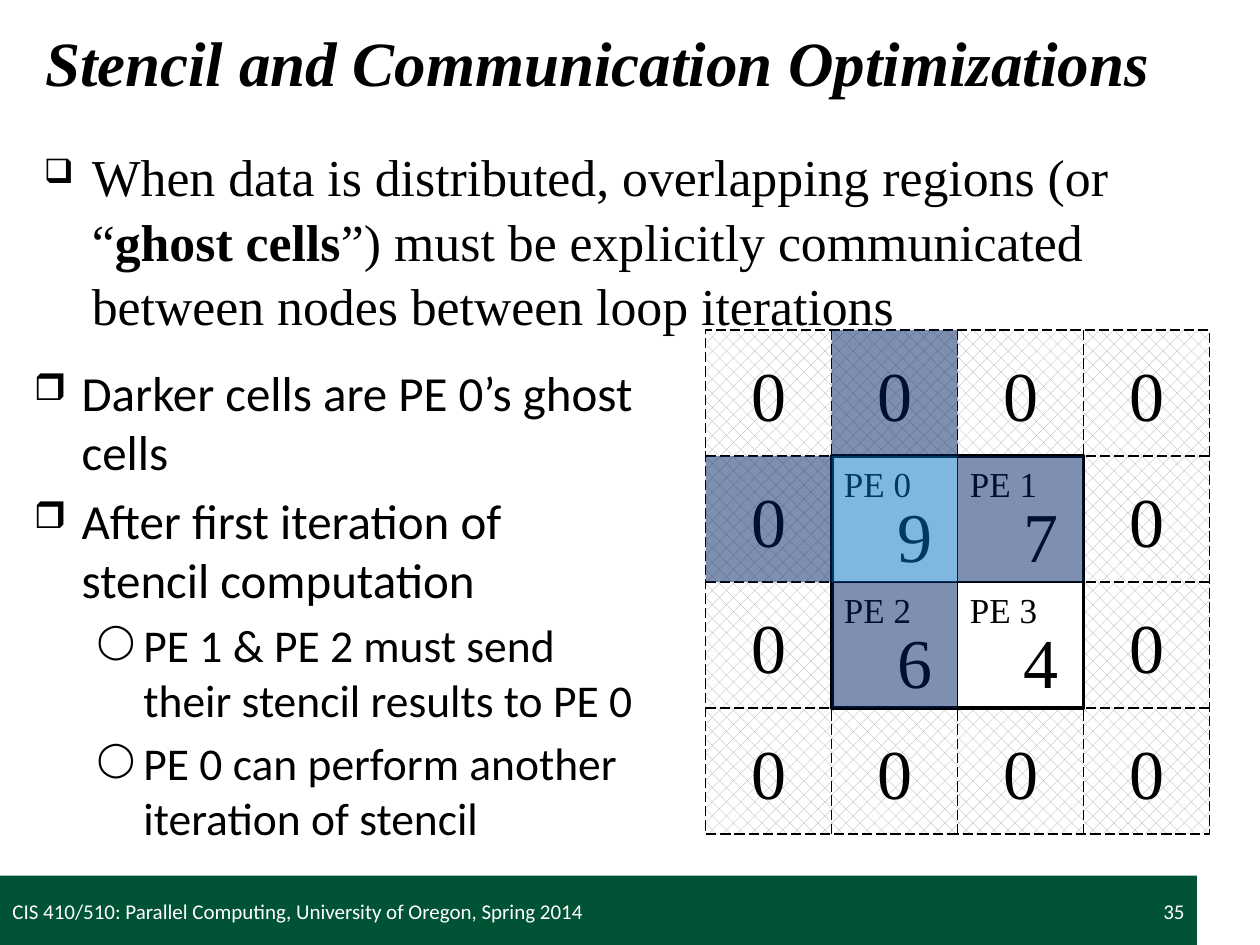
from lxml.etree import SubElement
from pptx import Presentation
from pptx.dml.color import RGBColor
from pptx.enum.dml import MSO_LINE, MSO_PATTERN
from pptx.enum.shapes import MSO_CONNECTOR, MSO_SHAPE
from pptx.enum.text import MSO_ANCHOR, PP_ALIGN
from pptx.oxml.ns import qn
from pptx.util import Inches, Pt

BLACK = RGBColor(0x00, 0x00, 0x00)
WHITE = RGBColor(0xFF, 0xFF, 0xFF)
GREEN = RGBColor(0x00, 0x53, 0x34)
GRAY = RGBColor(0xA6, 0xA6, 0xA6)
BLUE = RGBColor(0x00, 0x70, 0xC0)
NAVY = RGBColor(0x00, 0x20, 0x60)
SERIF, SANS = "Times New Roman", "Calibri"

TITLE = "Stencil and Communication Optimizations"
INTRO = ["When data is distributed, overlapping regions (or “", "ghost cells",
         "”) must be explicitly communicated between nodes between loop iterations"]
POINTS = [  # level, text
    (0, "Darker cells are PE 0’s ghost cells"),
    (0, "After first iteration of stencil computation"),
    (1, "PE 1 & PE 2 must send their stencil results to PE 0"),
    (1, "PE 0 can perform another iteration of stencil"),
]
LEVELS = [  # bullet, size, left margin, hanging indent
    ("❒", 28, 0.38, 0.38),
    ("◯", 26, 0.87, 0.37),
]
FOOTER = "CIS 410/510: Parallel Computing, University of Oregon, Spring 2014"
PAGE_NUMBER = "35"

GRID_LEFT, GRID_TOP, CELL, SIZE = 5.6, 2.62, 1, 4
ELEMENTS = {(1, 1): ("PE 0", "9"), (2, 1): ("PE 1", "7"),
            (1, 2): ("PE 2", "6"), (2, 2): ("PE 3", "4")}  # (column, row)
SHADED = [((1, 1), BLUE), ((1, 2), NAVY), ((0, 1), NAVY), ((2, 1), NAVY), ((1, 0), NAVY)]

deck = Presentation()
deck.slide_width, deck.slide_height = Inches(10), Inches(7.5)
page = deck.slides.add_slide(deck.slide_layouts[6])


def grid_point(column, row):
    return GRID_LEFT + column * CELL, GRID_TOP + row * CELL


def add_box(left, top, width, height, fill=None, line_width=None):
    box = page.shapes.add_shape(MSO_SHAPE.RECTANGLE, *map(Inches, (left, top, width, height)))
    box.shadow.inherit = False
    if fill is not None:
        box.fill.solid()
        box.fill.fore_color.rgb = fill
    if line_width:
        box.line.color.rgb = BLACK
        box.line.width = Pt(line_width)
    else:
        box.line.fill.background()
    return box


def style(para, size, font, color=BLACK):
    for span in para.runs:
        span.font.size, span.font.name = Pt(size), font
        span.font.color.rgb = color


def add_text(left, top, width, height, text, size, font, color=BLACK,
             align=PP_ALIGN.LEFT, anchor=MSO_ANCHOR.TOP):
    box = page.shapes.add_textbox(*map(Inches, (left, top, width, height)))
    frame = box.text_frame
    frame.word_wrap = True
    frame.vertical_anchor = anchor
    frame.text = text
    frame.paragraphs[0].alignment = align
    style(frame.paragraphs[0], size, font, color)
    return frame


def add_bullet(para, char, size, percent, margin, hanging):
    para.space_before = Pt(0.2 * size)
    props = para._p.get_or_add_pPr()
    props.set("marL", str(Inches(margin)))
    props.set("indent", str(-Inches(hanging)))
    SubElement(props, qn("a:buSzPct")).set("val", str(percent * 1000))
    SubElement(props, qn("a:buChar")).set("char", char)


def add_line(start, end, dashed=False):
    line = page.shapes.add_connector(MSO_CONNECTOR.STRAIGHT,
                                     *map(Inches, grid_point(*start) + grid_point(*end)))
    line.line.color.rgb = BLACK
    line.line.width = Pt(0.75)
    if dashed:
        line.line.dash_style = MSO_LINE.LONG_DASH
    SubElement(line._element.spPr, qn("a:effectLst"))
    return line


def join(line, first, first_side, last, last_side):
    line.begin_connect(first, first_side)
    line.end_connect(last, last_side)


# Footer band, title and introduction
add_box(0, 6.95, 9.5, 0.55, GREEN)
title = add_text(0.26, 0.01, 9.74, 0.96, TITLE, 36, SERIF, anchor=MSO_ANCHOR.MIDDLE)
title_font = title.paragraphs[0].runs[0].font
title_font.bold = title_font.italic = True

intro = add_text(0.25, 1.08, 9.58, 1.54, INTRO[0], 29.6, SERIF).paragraphs[0]
for part in INTRO[1:]:
    intro.add_run().text = part
style(intro, 29.6, SERIF)
intro.runs[1].font.bold = True
intro.line_spacing = 1.04
add_bullet(intro, "❑", 29.6, 65, 0.38, 0.38)

# Grid: patterned border cells around the four processing elements
outer = add_box(*grid_point(0, 0), SIZE * CELL, SIZE * CELL, line_width=0.75)
outer.fill.patterned()
outer.fill.pattern = MSO_PATTERN.PERCENT_25
outer.fill.fore_color.rgb, outer.fill.back_color.rgb = GRAY, WHITE
outer.line.dash_style = MSO_LINE.LONG_DASH
inner = add_box(*grid_point(1, 1), 2 * CELL, 2 * CELL, WHITE, 2.25)

for step in range(1, SIZE):
    stubs = [((step, 0), (step, 1)), ((0, step), (1, step)),
             ((step, SIZE), (step, SIZE - 1)), ((SIZE, step), (SIZE - 1, step))]
    for side, (start, end) in enumerate(stubs):
        stub = add_line(start, end, dashed=True)
        if step == SIZE // 2:
            join(stub, outer, side, inner, side)
join(add_line((2, 1), (2, 3)), inner, 0, inner, 2)
join(add_line((1, 2), (3, 2)), inner, 1, inner, 3)

for row in range(SIZE):
    for column in range(SIZE):
        left, top = grid_point(column, row)
        if (column, row) in ELEMENTS:
            label, value = ELEMENTS[column, row]
            add_text(left + 0.32, top + 0.24, 0.69, 0.77, value, 40, SERIF, align=PP_ALIGN.CENTER)
            add_text(left, top, 0.93, 0.44, label, 20, SERIF)
        else:
            add_text(left, top + 0.12, CELL, 0.77, "0", 40, SERIF, align=PP_ALIGN.CENTER)

for cell, color in SHADED:
    shade = add_box(*grid_point(*cell), CELL, CELL, color)
    tint = shade._element.spPr.find(qn("a:solidFill"))[0]
    SubElement(tint, qn("a:alpha")).set("val", "50000")

# Points beside the grid
points = add_text(0.17, 2.83, 4.98, 3.84, "", 28, SANS)
for number, (level, text) in enumerate(POINTS):
    char, size, margin, hanging = LEVELS[level]
    para = points.add_paragraph() if number else points.paragraphs[0]
    para.text, para.level = text, level
    style(para, size, SANS)
    add_bullet(para, char, size, 75, margin, hanging)

# Footer text
for left, width, text, align in [(0, 6.58, FOOTER, PP_ALIGN.LEFT),
                                 (7.17, 2.33, PAGE_NUMBER, PP_ALIGN.RIGHT)]:
    add_text(left, 6.97, width, 0.53, text, 12, SANS, WHITE, align, MSO_ANCHOR.MIDDLE)

deck.save("out.pptx")
